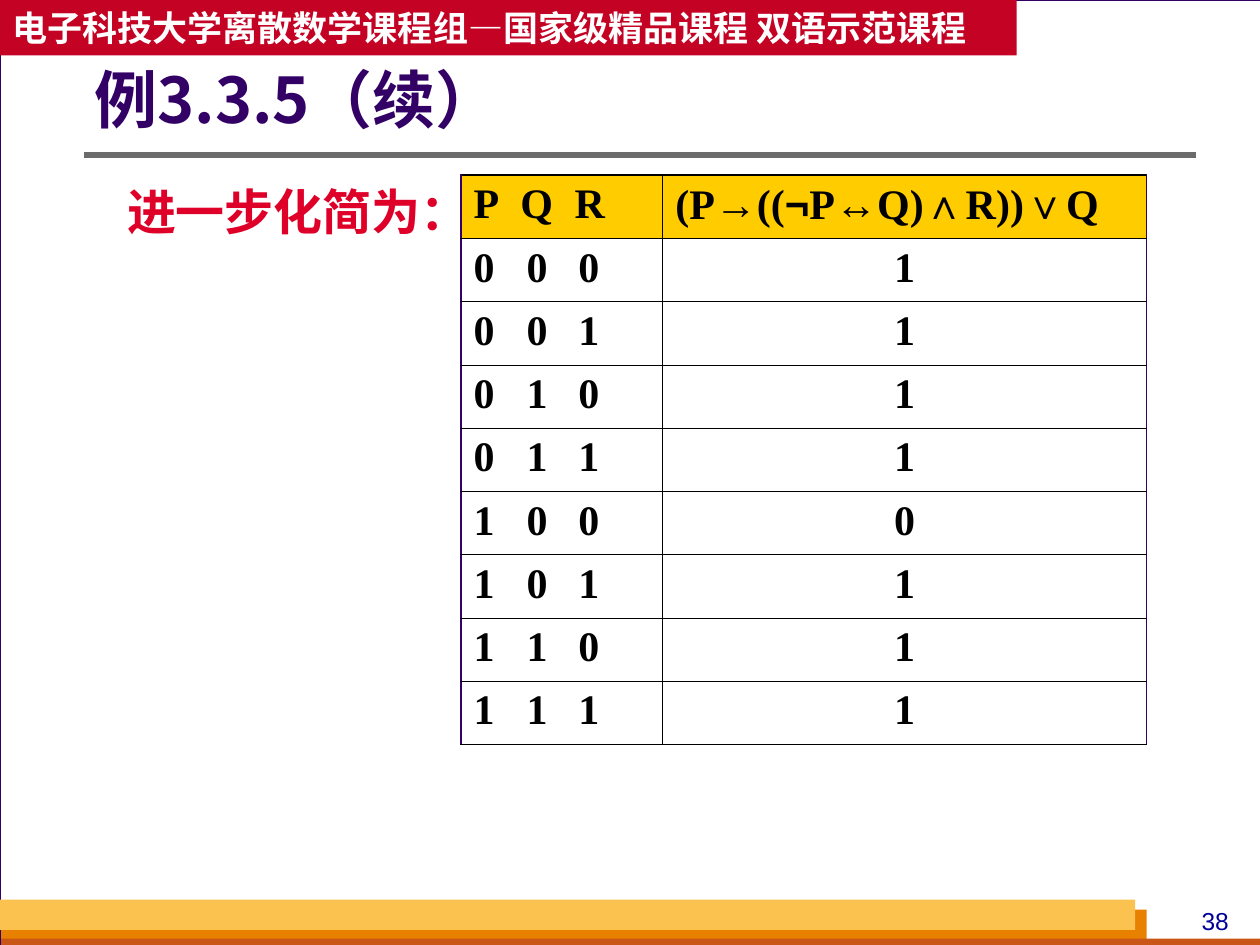
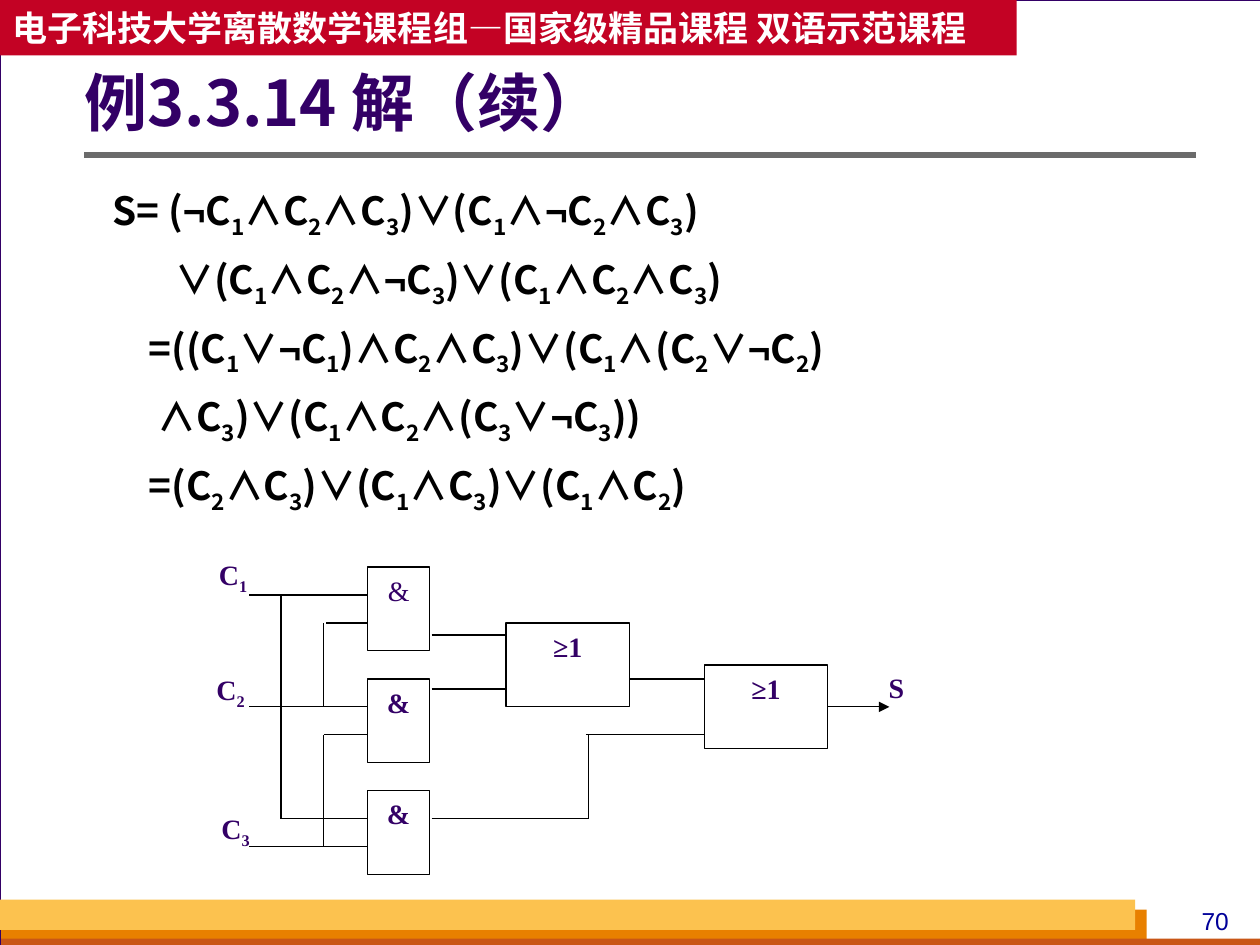
from itertools import groupby
from lxml.etree import SubElement
from pptx import Presentation
from pptx.dml.color import RGBColor
from pptx.enum.shapes import MSO_CONNECTOR, MSO_SHAPE
from pptx.enum.text import MSO_ANCHOR, MSO_AUTO_SIZE, PP_ALIGN
from pptx.oxml.ns import qn
from pptx.util import Inches, Pt

COLORS = {
    "backdrop": "D8DADA", "paper": "FFFFFF", "indigo": "330066",
    "orange": "E88000", "rust": "C95616", "amber": "FCC24F",
    "rule": "6B6B6B", "banner": "C30224", "number": "000099",
    "header": "FFCC00", "callout": "DF0029", "ink": "000000",
}
RGB = {name: RGBColor.from_string(value) for name, value in COLORS.items()}
HEITI, SERIF, SANS = "Noto Sans CJK SC", "Times New Roman", "Arial"

deck = Presentation()
deck.slide_width, deck.slide_height = Inches(10), Inches(7.5)
COL, ROW = deck.slide_width / 100, deck.slide_height / 75


def area(left, top, width, height):
    return [round(n * unit) for n, unit in zip((left, top, width, height), (COL, ROW, COL, ROW))]


def write(paragraph, text, size, font, color, bold=True, subscripts=False):
    for (symbol, lowered), letters in groupby(
            text, lambda ch: (ch in "¬↔", subscripts and ch.isdigit())):
        run = paragraph.add_run()
        run.text = "".join(letters)
        run.font.size, run.font.bold = Pt(size), bold
        run.font.color.rgb = RGB[color]
        run.font.name = SANS if symbol else font
        properties = run.font._element
        SubElement(properties, qn("a:ea")).set("typeface", run.font.name)
        if lowered:
            properties.set("baseline", "-25000")


simplified = deck.slides.add_slide(deck.slide_layouts[5])
solution = deck.slides.add_slide(deck.slide_layouts[1])

master = deck.slide_master
master.background.fill.solid()
master.background.fill.fore_color.rgb = RGB["backdrop"]

frame = []
for color, bounds in [
    ("paper", (0, 0, 100.1, 75)),
    ("orange", (0.1, 72.2, 90.9, 2.8)),
    ("rust", (0.1, 74.5, 100, 0.8)),
    ("amber", (0, 71.4, 90.1, 2.4)),
    ("banner", (0, 0, 80.7, 4.4)),
]:
    band = simplified.shapes.add_shape(MSO_SHAPE.RECTANGLE, *area(*bounds))
    band.shadow.inherit = False
    band.fill.solid()
    band.fill.fore_color.rgb = RGB[color]
    band.line.fill.background()
    frame.append(band)
frame[0].line.color.rgb = RGB["indigo"]
frame[0].line.width = Pt(0.75)
banner = frame[-1].text_frame
banner.vertical_anchor = MSO_ANCHOR.MIDDLE
banner.paragraphs[0].alignment = PP_ALIGN.LEFT
write(banner.paragraphs[0], "电子科技大学离散数学课程组—国家级精品课程 双语示范课程", 20, HEITI, "paper")

left, top, width, _ = area(6.7, 12.3, 88.2, 0)
title_rule = simplified.shapes.add_connector(MSO_CONNECTOR.STRAIGHT, left, top, left + width, top)
title_rule.line.color.rgb = RGB["rule"]
title_rule.line.width = Pt(3)
SubElement(title_rule._element.spPr, qn("a:effectLst"))
frame.append(title_rule)
for order, part in enumerate(frame):
    part._element.xpath(".//p:cNvPr")[0].set("id", str(20 + order))
    master.shapes._spTree.insert(2 + order, part._element)

for slide, heading, bounds, number in [
    (simplified, "例3.3.5（续）", (7.5, 5, 64.6, 6.4), "38"),
    (solution, "例3.3.14 解（续）", (6.7, 4.6, 88.2, 7.7), "70"),
]:
    title = slide.shapes.title
    title.left, title.top, title.width, title.height = area(*bounds)
    title.text_frame.margin_left = 0
    title.text_frame.auto_size = MSO_AUTO_SIZE.NONE
    title.text_frame.vertical_anchor = MSO_ANCHOR.MIDDLE
    line = title.text_frame.paragraphs[0]
    line.alignment, line.line_spacing = PP_ALIGN.LEFT, 0.9
    write(line, heading, 36, HEITI, "indigo")
    page = slide.shapes.add_textbox(*area(93.3, 71.4, 6.3, 3.4)).text_frame
    page.word_wrap = True
    page.paragraphs[0].alignment = PP_ALIGN.CENTER
    write(page.paragraphs[0], number, 14, SANS, "number", bold=False)

HEADINGS = ["P\tQ\tR", "(P→((¬P↔Q)∧R))∨Q"]
truth_rows = [HEADINGS]
for case, result in enumerate("11110111"):
    truth_rows.append(["\t".join(f"{case:03b}"), result])

last_row = len(truth_rows) - 1
truth_table = simplified.shapes.add_table(
    len(truth_rows), 2, *area(36.6, 13.9, 54.4, 5.02 * len(truth_rows))).table
truth_table.first_row = truth_table.horz_banding = False
for column, share in zip(truth_table.columns, (16, 38.4)):
    column.width = round(share * COL)

for r, values in enumerate(truth_rows):
    for c, value in enumerate(values):
        cell = truth_table.cell(r, c)
        for side, outer, edge_color in [
            ("L", c == 0, "indigo"), ("R", c == 1, "indigo"),
            ("T", r == 0, "ink"), ("B", r == last_row, "ink"),
        ]:
            border = SubElement(cell._tc.get_or_add_tcPr(), qn(f"a:ln{side}"),
                                w=str(Pt(1.08 if outer else 0.45)))
            stroke = SubElement(border, qn("a:solidFill"))
            SubElement(stroke, qn("a:srgbClr"), val=COLORS[edge_color if outer else "ink"])
        cell.fill.solid()
        cell.fill.fore_color.rgb = RGB["paper" if r else "header"]
        line = cell.text_frame.paragraphs[0]
        if c == 0:
            stops = SubElement(line._p.get_or_add_pPr(), qn("a:tabLst"))
            for position in (4.2, 8.3) if r else (3.7, 8):
                SubElement(stops, qn("a:tab"), pos=str(round(position * COL)), algn="l")
        elif r:
            line.alignment = PP_ALIGN.CENTER
        write(line, value, 24, SERIF, "ink")

callout = simplified.shapes.add_textbox(*area(9.1, 13.9, 29.2, 5.7)).text_frame
callout.word_wrap = False
write(callout.paragraphs[0], "进一步化简为：", 28, HEITI, "callout")

body = solution.placeholders[1]
body.left, body.top, body.width, body.height = area(6.7, 13.9, 88.2, 28.4)
derivation = body.text_frame
derivation.word_wrap = True
derivation.auto_size = MSO_AUTO_SIZE.NONE
derivation.vertical_anchor = MSO_ANCHOR.TOP
for step, (indent, formula) in enumerate([
    (1.2, "S= (¬C1∧C2∧C3)∨(C1∧¬C2∧C3)"),
    (6.2, "∨(C1∧C2∧¬C3)∨(C1∧C2∧C3)"),
    (4.1, "=((C1∨¬C1)∧C2∧C3)∨(C1∧(C2∨¬C2)"),
    (4.8, "∧C3)∨(C1∧C2∧(C3∨¬C3))"),
    (4.1, "=(C2∧C3)∨(C1∧C3)∨(C1∧C2)"),
]):
    line = derivation.add_paragraph() if step else derivation.paragraphs[0]
    settings = line._p.get_or_add_pPr()
    settings.set("marL", str(round(indent * COL)))
    settings.set("indent", "0")
    SubElement(settings, qn("a:buNone"))
    line.line_spacing, line.space_before = 1.1, Pt(6 if step else 0)
    write(line, formula, 22.2, HEITI, "ink", subscripts=True)

for name, bounds in [
    ("C1", (14.8, 43.8, 7.4, 6.7)),
    ("C2", (14.6, 52.9, 7.4, 6.7)),
    ("C3", (15, 63.9, 7.4, 6.7)),
    ("S", (68.7, 52.7, 4.9, 6.7)),
]:
    signal = solution.shapes.add_textbox(*area(*bounds)).text_frame
    signal.word_wrap = True
    signal.paragraphs[0].alignment = PP_ALIGN.CENTER
    write(signal.paragraphs[0], name, 16, SERIF, "indigo", subscripts=True)

CIRCUIT_LEFT, CIRCUIT_TOP = 19.8 * COL, 45 * ROW
PIN_COL, PIN_ROW = 2.45 * COL, 2.22 * ROW
AND_IN, AND_OUT, OR_IN, OR_OUT = 3.83, 5.9, 8.31, 12.31
FINAL_IN, FINAL_OUT, OUTPUT = 14.73, 18.73, 20.73
C1_TAP, C2_TAP, RISER = 1.02, 2.41, 10.98

gates = []
for symbol, x, y, span, bold in [
    ("&", AND_IN, 0, 2, False),
    ("&", AND_IN, 4, 2, True),
    ("&", AND_IN, 8, 2, True),
    ("≥1", OR_IN, 2, 4, True),
    ("≥1", FINAL_IN, 3.5, 4, True),
]:
    gate = solution.shapes.add_shape(
        MSO_SHAPE.RECTANGLE, round(CIRCUIT_LEFT + x * PIN_COL), round(CIRCUIT_TOP + y * PIN_ROW),
        round(span * PIN_COL), round(3 * PIN_ROW))
    gate.shadow.inherit = False
    gate.fill.solid()
    gate.fill.fore_color.rgb = RGB["paper"]
    gate.line.color.rgb = RGB["ink"]
    gate.line.width = Pt(0.75)
    gate.text_frame.vertical_anchor = MSO_ANCHOR.TOP
    gate.text_frame.paragraphs[0].alignment = PP_ALIGN.CENTER
    write(gate.text_frame.paragraphs[0], symbol, 16, SERIF, "indigo", bold)
    gates.append(gate)

for x1, y1, x2, y2 in [
    (0, 1, AND_IN, 1), (2.49, 2, AND_IN, 2),
    (0, 5, AND_IN, 5), (C2_TAP, 6, AND_IN, 6),
    (C1_TAP, 9, AND_IN, 9), (0, 10, AND_IN, 10),
    (C1_TAP, 1, C1_TAP, 9), (C2_TAP, 2, C2_TAP, 5), (C2_TAP, 6, C2_TAP, 10),
    (AND_OUT, 2.43, OR_IN, 2.43), (AND_OUT, 4.36, OR_IN, 4.36),
    (AND_OUT, 9, RISER, 9), (RISER, 6, RISER, 9), (10.9, 6, FINAL_IN, 6),
    (OR_OUT, 4, FINAL_IN, 4), (FINAL_OUT, 5, OUTPUT, 5),
]:
    wire = solution.shapes.add_connector(
        MSO_CONNECTOR.STRAIGHT,
        round(CIRCUIT_LEFT + x1 * PIN_COL), round(CIRCUIT_TOP + y1 * PIN_ROW),
        round(CIRCUIT_LEFT + x2 * PIN_COL), round(CIRCUIT_TOP + y2 * PIN_ROW))
    wire.line.color.rgb = RGB["ink"]
    wire.line.width = Pt(0.75)
    SubElement(wire._element.spPr, qn("a:effectLst"))
    if x2 == OUTPUT:
        wire.begin_connect(gates[-1], 3)
        SubElement(wire.line._get_or_add_ln(), qn("a:tailEnd"), type="triangle")

deck.save("out.pptx")
